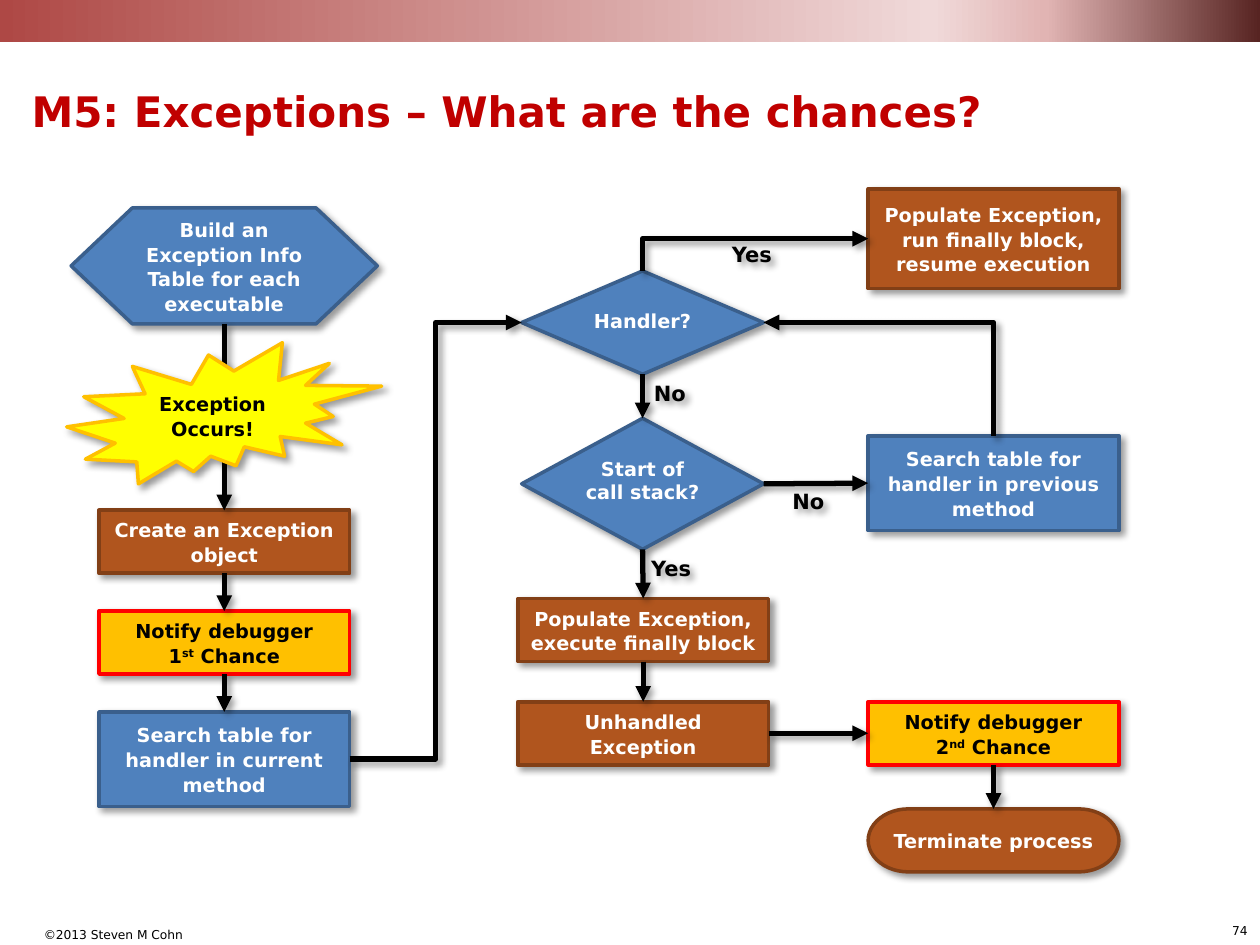
from dataclasses import dataclass

import lxml.etree
import pptx
import pptx.dml.color
import pptx.enum.shapes
import pptx.enum.text
import pptx.oxml
import pptx.oxml.ns
import pptx.util

Inches = pptx.util.Inches
Pt = pptx.util.Pt
MSO = pptx.enum.shapes.MSO_SHAPE
ALIGN = pptx.enum.text.PP_ALIGN
ANCHOR = pptx.enum.text.MSO_ANCHOR
AUTO = pptx.enum.text.MSO_AUTO_SIZE
LINK = pptx.enum.shapes.MSO_CONNECTOR
qn = pptx.oxml.ns.qn
TOP, LEFT, BOTTOM, RIGHT = range(4)


@dataclass(frozen=True)
class Theme:
    font: str = "DejaVu Sans"
    title_size: int = 24
    label_size: int = 12
    node_size: int = 11
    footer_size: int = 7
    title: str = "C00000"
    black: str = "000000"
    white: str = "FFFFFF"
    # fill, line and text colour of each kind of node
    blue: tuple = ("4F81BD", "3A5F8C", "FFFFFF")
    brown: tuple = ("B0551E", "823F16", "FFFFFF")
    amber: tuple = ("FFC000", "FF0000", "000000")
    yellow: tuple = ("FFFF00", "FFC000", "000000")
    band: tuple = ((0, "AE4845"), (74, "F0D9D9"), (83, "E1B4B3"), (100, "572422"))


THEME = Theme()
NODE_W, NODE_H, TALL_H = 1.99, 0.5, 0.75


def rgb(value):
    return pptx.dml.color.RGBColor.from_string(value)


def write(tf, text, size, color, bold=True, align=ALIGN.LEFT, anchor=ANCHOR.TOP,
          wrap=True, spacing=None, after=None, insets=(0.1, 0.05, 0.1, 0.05)):
    """Fill a text frame; a part between ^ marks is superscript."""
    tf.word_wrap, tf.vertical_anchor = wrap, anchor
    tf.margin_left, tf.margin_top, tf.margin_right, tf.margin_bottom = map(Inches, insets)
    p = tf.paragraphs[0]
    p.alignment = align
    if spacing:
        p.line_spacing, p.space_after = spacing, Pt(after)
    for row, line in enumerate(text.split("\n")):
        if row:
            p.add_line_break()
        for i, part in enumerate(line.split("^")):
            r = p.add_run()
            r.text = part
            r.font.name, r.font.size, r.font.bold = THEME.font, Pt(size), bold
            r.font.color.rgb = rgb(color)
            if i % 2:
                r.font._element.set("baseline", "30000")


def add_shadow(sp):
    spPr = sp._element.spPr
    for old in spPr.findall(qn("a:effectLst")):
        spPr.remove(old)
    spPr.append(pptx.oxml.parse_xml(
        f'<a:effectLst {pptx.oxml.ns.nsdecls("a")}>'
        '<a:outerShdw blurRad="50800" dist="38100" dir="2700000" algn="tl" rotWithShape="0">'
        f'<a:srgbClr val="{THEME.black}"><a:alpha val="40000"/></a:srgbClr>'
        '</a:outerShdw></a:effectLst>'))


def add_node(s, kind, text, colors, x, y, w=NODE_W, h=NODE_H, **fmt):
    fill, line, color = colors
    sp = s.shapes.add_shape(kind, *map(Inches, (x, y, w, h)))
    sp.fill.solid()
    sp.fill.fore_color.rgb = rgb(fill)
    sp.line.color.rgb, sp.line.width = rgb(line), Pt(2)
    add_shadow(sp)
    options = dict(align=ALIGN.CENTER, anchor=ANCHOR.MIDDLE, spacing=1.07, after=8)
    write(sp.text_frame, text, THEME.node_size, color, **{**options, **fmt})
    return sp


def add_text(s, text, x, y, w, h, size, **fmt):
    tb = s.shapes.add_textbox(*map(Inches, (x, y, w, h)))
    write(tb.text_frame, text, size, THEME.black, **fmt)
    return tb


def add_label(s, text, x, y):
    add_shadow(add_text(s, text, x, y, 0.58, 0.3, THEME.label_size))


def connect(s, start, start_side, end, end_side, kind=LINK.STRAIGHT):
    """Join two nodes with an arrow, each end glued to a side."""
    c = s.shapes.add_connector(kind, 0, 0, 0, 0)
    c.begin_connect(start, start_side)
    c.end_connect(end, end_side)
    c.line.color.rgb, c.line.width = rgb(THEME.black), Pt(3)
    lxml.etree.SubElement(c.line._get_or_add_ln(), qn("a:tailEnd"), type="triangle")
    add_shadow(c)
    return c


def connect_corner(s, start, end, end_side):
    """Arrow with one bend: up from the top of start, then across to end."""
    c = connect(s, start, TOP, end, end_side, LINK.ELBOW)
    rightward = c.end_x > c.begin_x
    x, y, w, h = c.left, c.top, c.width, c.height
    c.left, c.top = x + (w - h) // 2, y + (h - w) // 2
    c.width, c.height = h, w
    spPr = c._element.spPr
    spPr.find(qn("a:prstGeom")).set("prst", "bentConnector2")
    xfrm = spPr.find(qn("a:xfrm"))
    xfrm.set("rot", "5400000" if rightward else "16200000")
    xfrm.set("flipH", "1" if rightward else "0")
    xfrm.set("flipV", "1")


def add_frame(s, x, y, w, h):
    """Top band, title, copyright line and slide number."""
    band = s.shapes.add_shape(MSO.RECTANGLE, *map(Inches, (x, y - 0.01, w, 0.34)))
    band.shadow.inherit = False
    band.line.fill.background()
    band.fill.gradient()
    band.fill.gradient_angle = 0
    stops = band._element.spPr.find(".//" + qn("a:gsLst"))
    for old in list(stops):
        stops.remove(old)
    for pos, color in THEME.band:
        gs = lxml.etree.SubElement(stops, qn("a:gs"), pos=str(pos * 1000))
        lxml.etree.SubElement(gs, qn("a:srgbClr"), val=color)

    title = s.shapes.title
    title.left, title.top, title.width, title.height = map(
        Inches, (x + 0.15, y - 0.01, 8.43, 1.14))
    write(title.text_frame, "M5: Exceptions – What are the chances?",
          THEME.title_size, THEME.title, anchor=ANCHOR.BOTTOM)
    title.text_frame.auto_size = AUTO.NONE

    small = dict(size=THEME.footer_size, bold=False, align=ALIGN.RIGHT, wrap=False)
    add_text(s, "©2013 Steven M Cohn", x + 0.22, y + h - 0.19, 1.33, 0.22, **small)
    add_text(s, "74", x + w - 0.4, y + h - 0.22, 0.4, 0.22, **small)


def add_throw_column(s, x, y, w):
    """Left column, from the exception table to the first search."""
    left = x + (w - NODE_W) / 2
    build = add_node(s, MSO.FLOWCHART_PREPARATION,
                     "Build an Exception Info Table for each executable",
                     THEME.blue, x + (w - 2.43) / 2, y, 2.43, 0.92)
    steps = [build]
    for i, (text, colors, h) in enumerate((
            ("Create an Exception object", THEME.brown, NODE_H),
            ("Notify debugger\n1^st^ Chance", THEME.amber, NODE_H),
            ("Search table for handler in current method", THEME.blue, TALL_H))):
        steps.append(add_node(s, MSO.FLOWCHART_PROCESS, text, colors,
                              left, y + 2.4 + 0.8 * i, h=h))
    for start, end in zip(steps, steps[1:]):
        connect(s, start, BOTTOM, end, TOP)
    add_node(s, MSO.EXPLOSION2, "Exception Occurs!", THEME.yellow, x, y + 1.07, w, 1.12)
    return steps[-1]


def add_handler_flow(s, x, y):
    """Right part: the decisions and their outcomes, in two columns."""
    box, diamond = MSO.FLOWCHART_PROCESS, MSO.FLOWCHART_DECISION
    col2 = x + 2.78
    handler = add_node(s, diamond, "Handler?", THEME.blue, x + 0.03, y + 0.65, 1.92, 0.82,
                       anchor=ANCHOR.TOP, spacing=None, insets=(0, 0.1, 0, 0.05))
    start = add_node(s, diamond, "Start of call stack?", THEME.blue,
                     x + 0.03, y + 1.82, 1.92, 1.04, spacing=None, insets=(0, 0, 0, 0.05))
    populate = add_node(s, box, "Populate Exception, execute finally block",
                        THEME.brown, x, y + 3.25)
    unhandled = add_node(s, box, "Unhandled Exception", THEME.brown, x, y + 4.07)
    resume = add_node(s, box, "Populate Exception, run finally block, resume execution",
                      THEME.brown, col2, y, h=0.79)
    previous = add_node(s, box, "Search table for handler in previous method",
                        THEME.blue, col2, y + 1.96, h=TALL_H)
    notify = add_node(s, box, "Notify debugger\n2^nd^ Chance", THEME.amber, col2, y + 4.07)
    terminate = add_node(s, MSO.FLOWCHART_TERMINATOR, "Terminate process",
                         THEME.brown, col2, y + 4.92)

    for a, b in ((handler, start), (start, populate), (populate, unhandled),
                 (notify, terminate)):
        connect(s, a, BOTTOM, b, TOP)
    for a, b in ((start, previous), (unhandled, notify)):
        connect(s, a, RIGHT, b, LEFT)
    connect_corner(s, handler, resume, LEFT)
    connect_corner(s, previous, handler, RIGHT)

    for text, dx, dy in (("Yes", 1.6, 0.37), ("No", 0.98, 1.47),
                         ("No", 2.08, 2.33), ("Yes", 0.96, 2.86)):
        add_label(s, text, x + dx, y + dy)
    return handler


def main():
    prs = pptx.Presentation()
    prs.slide_width, prs.slide_height = Inches(10), Inches(7.5)
    s = prs.slides.add_slide(prs.slide_layouts[5])
    s.background.fill.solid()
    s.background.fill.fore_color.rgb = rgb(THEME.white)
    add_frame(s, 0, 0, 10, 7.5)
    search = add_throw_column(s, 0.53, 1.65, 2.5)
    handler = add_handler_flow(s, 4.11, 1.5)
    connect(s, search, RIGHT, handler, LEFT, LINK.ELBOW)
    prs.save("out.pptx")


if __name__ == "__main__":
    main()
